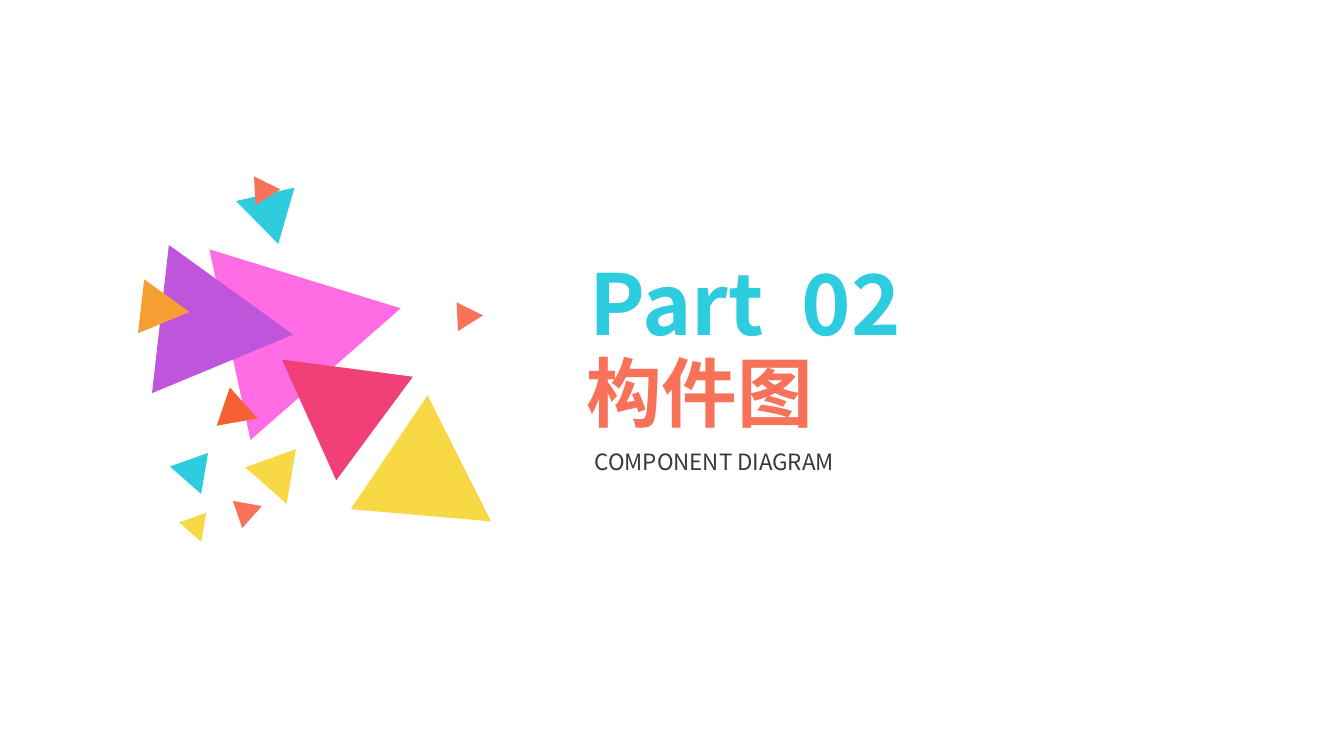
from lxml.etree import SubElement as Sub
from pptx import Presentation
from pptx.dml.color import RGBColor as Rgb
from pptx.enum.text import MSO_AUTO_SIZE as Fit
from pptx.oxml.ns import qn
from pptx.util import Pt

HUES = {
    "cyan": "2DCCDF", "pink": "FF6CE4", "purple": "BF55DB",
    "amber": "F59E32", "orange": "F56130", "yellow": "F8D845",
    "coral": "F77258", "rose": "F04077", "ink": "353A3E",
}
FACE = "Noto Sans CJK SC"

# Every triangle has this outline, as shares of its width and height
EDGE = [(0, 1), (0.12, 0), (1, 0.605)]
RATIO = 1.05

# Left, top, width (points, within the art box), turn in degrees, colour
SHARDS = [
    (69, 5.8, 39.6, 189.6, "cyan"),
    (54.7, 33.8, 131.8, 341.3, "pink"),
    (10, 50.4, 100.8, 0, "purple"),
    (0, 74.9, 36.7, 0, "amber"),
    (59, 154, 27.4, 12.4, "orange"),
    (28, 200.2, 27.4, 63.9, "cyan"),
    (33.1, 242.6, 19.4, 63.9, "yellow"),
    (69.1, 229, 19.4, 334.3, "coral"),
    (83.5, 198, 36.4, 63.9, "yellow"),
    (169.2, 168.5, 92.9, 27.5, "yellow"),
    (92.2, 116.6, 87.1, 210, "rose"),
    (226.8, 90, 19.4, 350.4, "coral"),
    (82.1, 0, 19.4, 350.4, "coral"),
]


def add_shard(slide, left, top, wide, turn, hue):
    high = wide * RATIO
    spots = [(Pt(left + x * wide), Pt(top + y * high)) for x, y in EDGE]
    pen = slide.shapes.build_freeform(*spots[0])
    pen.add_line_segments(spots[1:], close=True)
    shard = pen.convert_to_shape()
    shard.rotation = turn
    shard.shadow.inherit = False
    shard.fill.solid()
    shard.fill.fore_color.rgb = Rgb.from_string(HUES[hue])
    shard.line.fill.background()


def add_art(slide, left, top):
    for x, y, wide, turn, hue in SHARDS:
        add_shard(slide, left + x, top + y, wide, turn, hue)


def add_line(slide, box, runs, size, hue, bold=False, inset=7.2):
    shape = slide.shapes.add_textbox(*(Pt(n) for n in box))
    frame = shape.text_frame
    frame.word_wrap = True
    frame.auto_size = Fit.SHAPE_TO_FIT_TEXT
    frame.margin_left = Pt(inset)
    for text, gap in runs:
        run = frame.paragraphs[0].add_run()
        run.text = text
        font = run.font
        font.name, font.size, font.bold = FACE, Pt(size), bold
        font.color.rgb = Rgb.from_string(HUES[hue])
        # East Asian face and letter spacing
        props = run._r.get_or_add_rPr()
        Sub(props, qn("a:ea")).set("typeface", FACE)
        if gap:
            props.set("spc", str(round(gap * 100)))


def add_title(slide, left, top):
    # Part number, with a widened space
    add_line(slide, (left, top, 324, 80),
             [("Part", 0), (" ", 13.5), ("02", 0)], 60, "cyan", True)
    # Chinese heading
    add_line(slide, (left - 2.2, top + 67, 510, 73),
             [("构件图", 0)], 54, "coral", True)
    # English heading
    add_line(slide, (left, top + 140.4, 477, 46),
             [("COMPONENT DIAGRAM", 0)], 16, "ink", inset=10.8)


def main():
    deck = Presentation()
    deck.slide_width, deck.slide_height = Pt(960), Pt(540)
    slide = deck.slides.add_slide(deck.slide_layouts[6])
    add_art(slide, 98.6, 124.6)
    add_title(slide, 414, 176.4)
    deck.save("out.pptx")


if __name__ == "__main__":
    main()
